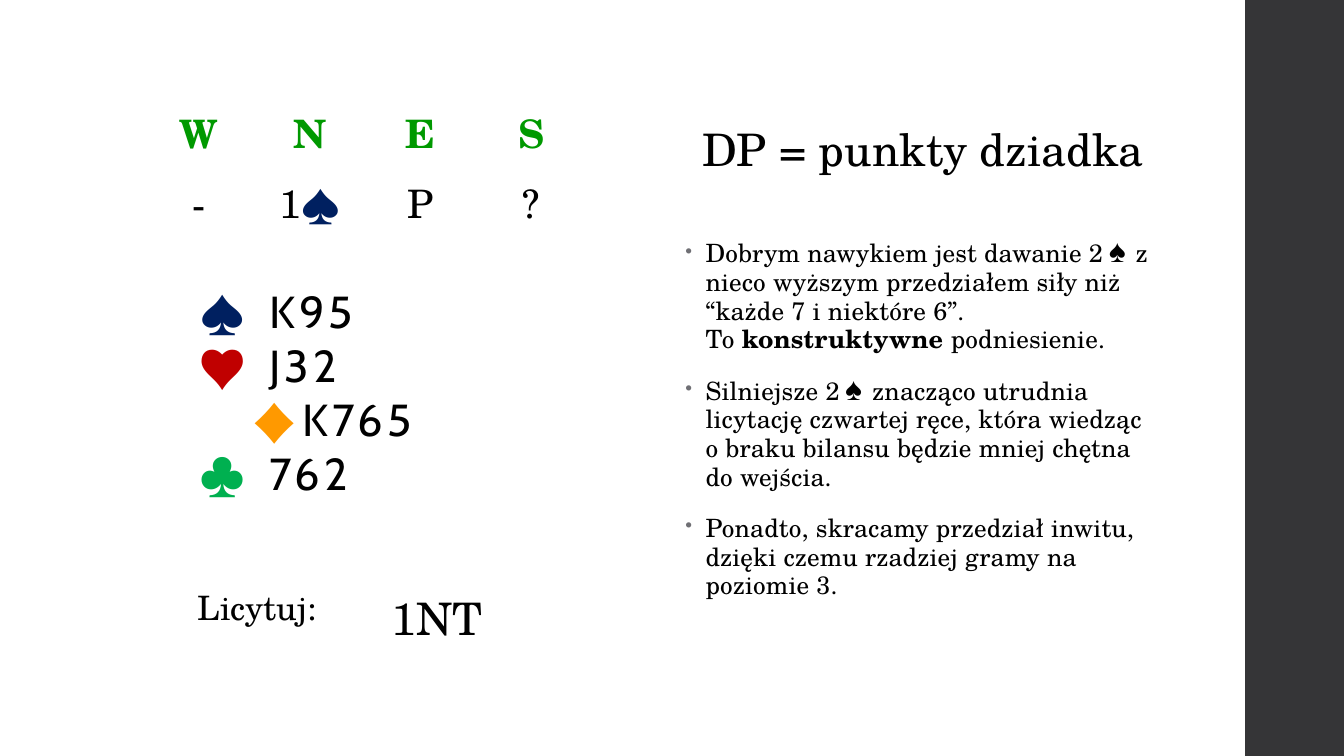
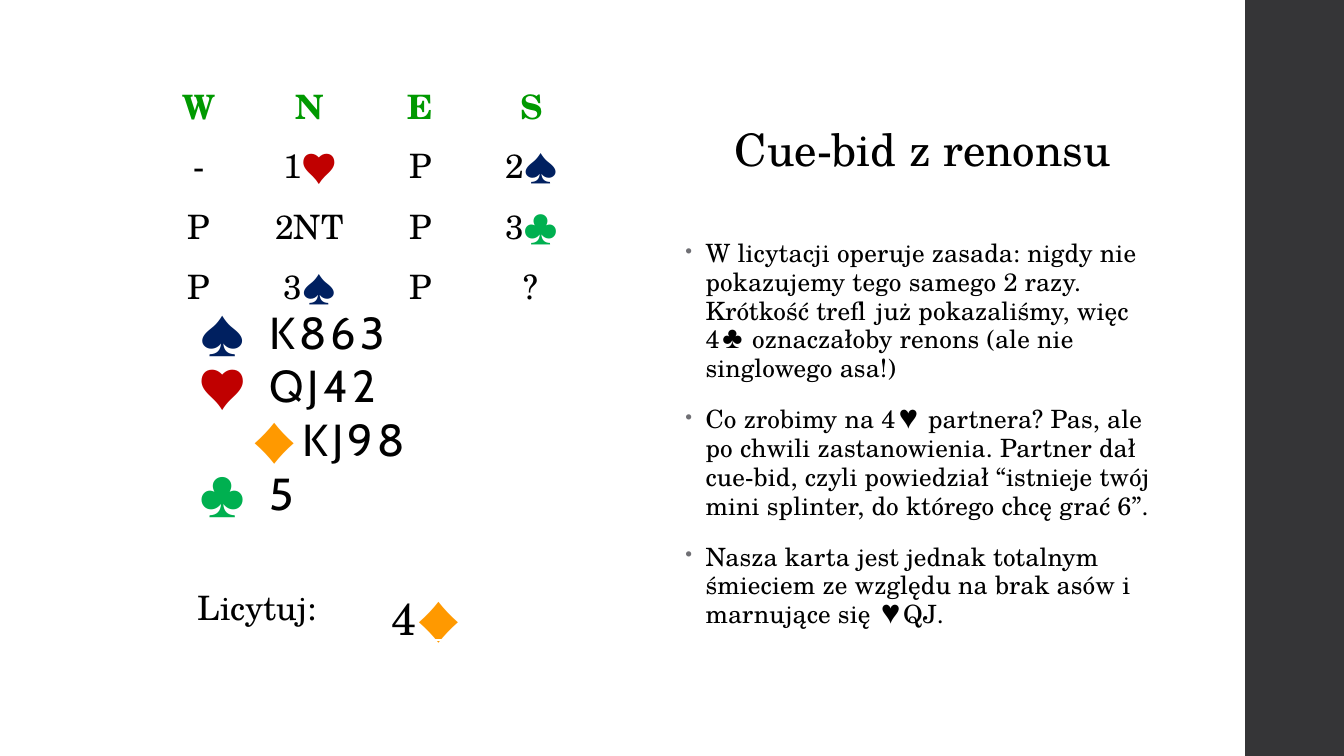
from lxml import etree
from pptx import Presentation
from pptx.dml.color import RGBColor
from pptx.enum.shapes import MSO_SHAPE
from pptx.enum.text import MSO_ANCHOR, PP_ALIGN
from pptx.oxml.ns import qn
from pptx.util import Pt

EMU_PER_PX = 9144  # 100 px to the inch
RECTANGLE = MSO_SHAPE.RECTANGLE
TOP, MIDDLE = MSO_ANCHOR.TOP, MSO_ANCHOR.MIDDLE
LEFT, CENTER = PP_ALIGN.LEFT, PP_ALIGN.CENTER

COLORS = {
    "text": "000000",
    "sidebar": "353537",
    "seat": "009900",
    "bullet": "6F6F74",
    "♠": "002060",
    "♥": "C00000",
    "♦": "FF9900",
    "♣": "00B050",
}
SUITS = "♠♥♦♣"
SERIF, SANS = "TeX Gyre Schola", "Cabin"
SEATS = ["W", "N", "E", "S"]
BULLET_FORMAT = {"line_spacing": 0.95, "space_after": Pt(2)}


def px(length):
    return length * EMU_PER_PX


def rgb(name):
    return RGBColor.from_string(COLORS[name])


def set_values(target, values):
    for name, value in values.items():
        setattr(target, name, value)


def add_child(parent, tag, **attributes):
    return etree.SubElement(parent, qn(tag), attributes)


class BiddingDeck:
    """Holds the shared style and the slide being filled."""

    def __init__(self):
        self.deck = Presentation()
        set_values(self.deck, {"slide_width": px(1333), "slide_height": px(750)})
        self.page = None

    def new_page(self):
        self.page = self.deck.slides.add_slide(self.deck.slide_layouts[6])
        sidebar = self.page.shapes.add_shape(
            RECTANGLE, px(1235), 0, px(98), px(750))
        sidebar.shadow.inherit = False
        sidebar.fill.solid()
        sidebar.fill.fore_color.rgb = rgb("sidebar")
        sidebar.line.fill.background()

    def add_span(self, para, text, size, font=SERIF, color="text",
                 bold=False, spacing=0):
        """Add a run; spacing is in hundredths of a point."""
        span = para.add_run()
        span.text = text
        set_values(span.font, {"name": font, "size": Pt(size), "bold": bold})
        span.font.color.rgb = rgb(color)
        if spacing:
            span.font._element.set("spc", str(spacing))

    def add_call(self, para, call, size, color="text", bold=False):
        """Write a bid, with a closing suit symbol in its own colour."""
        level = call.rstrip(SUITS)
        self.add_span(para, level, size, color=color, bold=bold)
        suit = call[len(level):]
        if suit:
            self.add_span(para, suit, size, SANS, suit, spacing=300)

    def add_box(self, left, top, width, height, anchor=TOP):
        box = self.page.shapes.add_textbox(
            px(left), px(top), px(width), px(height))
        set_values(box.text_frame, {"word_wrap": True, "vertical_anchor": anchor})
        return box.text_frame

    def paragraphs(self, frame, items):
        """Yield a paragraph of the frame with each item."""
        for index, item in enumerate(items):
            yield (frame.add_paragraph() if index else frame.paragraphs[0]), item

    def add_title(self, text):
        para = self.add_box(670, 115, 491, 64, MIDDLE).paragraphs[0]
        para.alignment = CENTER
        self.add_span(para, text, 32)

    def add_bullets(self, bullets):
        """Add bullets, each a list of lines made of (text, bold) pairs."""
        frame = self.add_box(670, 233, 490, 451)
        for index, (para, lines) in enumerate(self.paragraphs(frame, bullets)):
            properties = para._p.get_or_add_pPr()
            set_values_xml = {"marL": str(px(20)), "indent": str(px(-20))}
            properties.attrib.update(set_values_xml)
            color = add_child(properties, "a:buClr")
            add_child(color, "a:srgbClr", val=COLORS["bullet"])
            add_child(properties, "a:buSzPct", val="80000")
            add_child(properties, "a:buChar", char="•")
            set_values(para, BULLET_FORMAT)
            if index:
                para.space_before = Pt(14)
            for number, line in enumerate(lines):
                if number:
                    para.add_line_break()
                for text, bold in line:
                    self.add_span(para, text, 18, bold=bold, spacing=10)

    def add_hand(self, top, holdings):
        frame = self.add_box(187, top, 349, 226)
        for para, (suit, cards) in self.paragraphs(frame, zip(SUITS, holdings)):
            properties = para._p.get_or_add_pPr()
            if suit == "♦":
                properties.set("marL", str(px(3)))
                properties.set("indent", "0")
            tabs = add_child(properties, "a:tabLst")
            for position, side in ((50, "r"), (70, "l")):
                add_child(tabs, "a:tab", pos=str(px(position)), algn=side)
            self.add_span(para, f"\t{suit}\t", 32, SANS, suit, spacing=300)
            self.add_span(para, cards, 32, SANS, spacing=300)

    def add_grid(self, left, top, widths, row_height, row_count):
        table = self.page.shapes.add_table(
            row_count, len(widths), px(left), px(top),
            px(sum(widths)), px(row_height * row_count)).table
        set_values(table, {"first_row": False, "horz_banding": False})
        for column, width in zip(table.columns, widths):
            column.width = px(width)
        for cell in table.iter_cells():
            cell.fill.background()
            cell.vertical_anchor = MIDDLE
        return table

    def add_auction(self, top, row_height, size, rounds):
        rows = [SEATS, *rounds]
        table = self.add_grid(142, top, [110] * len(SEATS), row_height, len(rows))
        for row, calls in enumerate(rows):
            style = {} if row else {"color": "seat", "bold": True}
            for column, call in enumerate(calls):
                para = table.cell(row, column).text_frame.paragraphs[0]
                para.alignment = CENTER
                self.add_call(para, call, size, **style)

    def add_answer(self, call):
        table = self.add_grid(132, 570, [246, 158], 65, 1)
        answer_cell = table.cell(0, 1)
        set_values(answer_cell, {"margin_top": px(10), "margin_bottom": 0})
        for cell, text, size, side in ((table.cell(0, 0), "Licytuj:", 24, CENTER),
                                       (answer_cell, call, 32, LEFT)):
            para = cell.text_frame.paragraphs[0]
            para.alignment = side
            self.add_call(para, text, size)


def plain(text):
    return [[(text, False)]]


PROBLEMS = [
    {
        "title": "DP = punkty dziadka",
        "auction": (97, 69, 28, [["-", "1♠", "P", "?"]]),
        "hand": (277, ["K95", "J32", "K765", "762"]),
        "answer": "1NT",
        "bullets": [
            [[("Dobrym nawykiem jest dawanie 2♠ z nieco wyższym przedziałem "
               "siły niż “każde 7 i niektóre 6”.", False)],
             [("To ", False), ("konstruktywne", True), (" podniesienie.", False)]],
            plain("Silniejsze 2♠ znacząco utrudnia licytację czwartej ręce, "
                  "która wiedząc o braku bilansu będzie mniej chętna do wejścia."),
            plain("Ponadto, skracamy przedział inwitu, dzięki czemu rzadziej "
                  "gramy na poziomie 3."),
        ],
    },
    {
        "title": "Cue-bid z renonsu",
        "auction": (74, 60, 24, [["-", "1♥", "P", "2♠"],
                                 ["P", "2NT", "P", "3♣"],
                                 ["P", "3♠", "P", "?"]]),
        "hand": (297, ["K863", "QJ42", "KJ98", "5"]),
        "answer": "4♦",
        "bullets": [
            plain("W licytacji operuje zasada: nigdy nie pokazujemy tego samego "
                  "2 razy. Krótkość trefl już pokazaliśmy, więc 4♣ oznaczałoby "
                  "renons (ale nie singlowego asa!)"),
            plain("Co zrobimy na 4♥ partnera? Pas, ale po chwili zastanowienia. "
                  "Partner dał cue-bid, czyli powiedział “istnieje twój mini "
                  "splinter, do którego chcę grać 6”."),
            plain("Nasza karta jest jednak totalnym śmieciem ze względu na brak "
                  "asów i marnujące się ♥QJ."),
        ],
    },
]


def main():
    bidding = BiddingDeck()
    for problem in PROBLEMS:
        bidding.new_page()
        bidding.add_auction(*problem["auction"])
        bidding.add_bullets(problem["bullets"])
        bidding.add_hand(*problem["hand"])
        bidding.add_title(problem["title"])
        bidding.add_answer(problem["answer"])
    bidding.deck.save("out.pptx")


if __name__ == "__main__":
    main()
